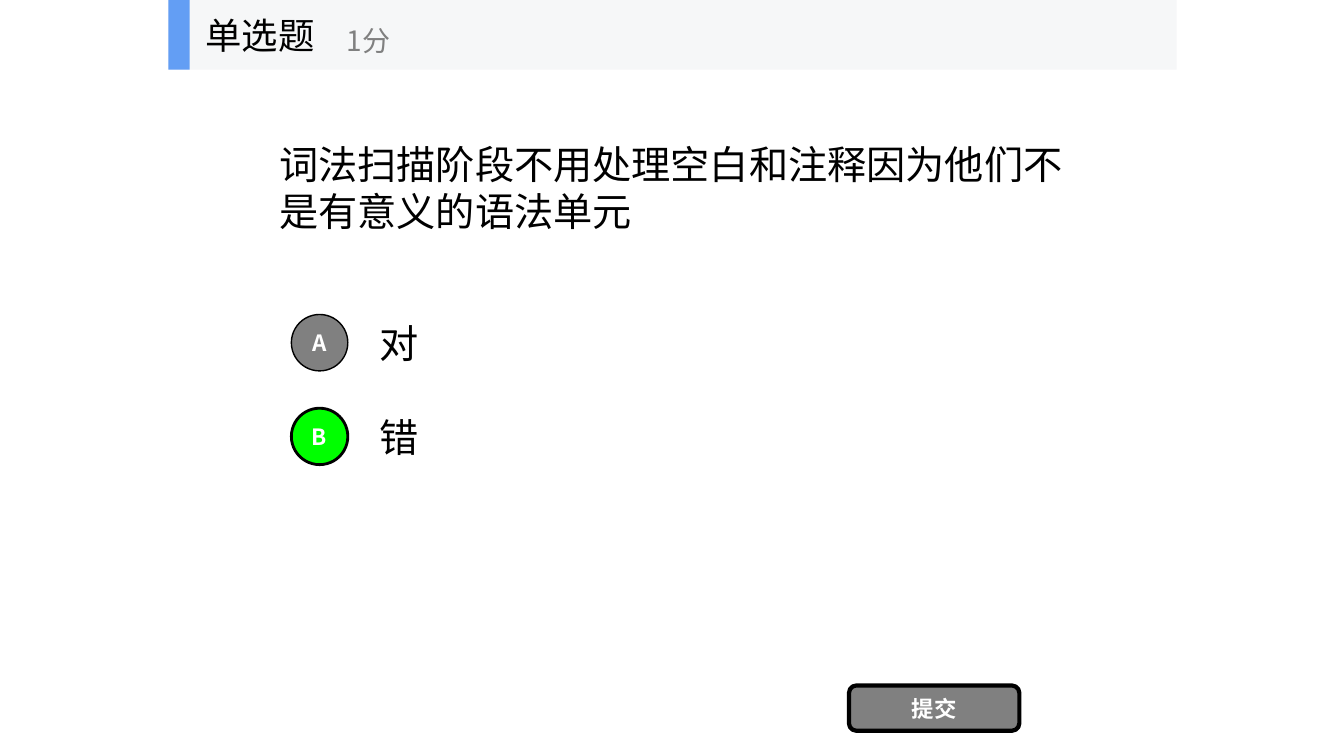
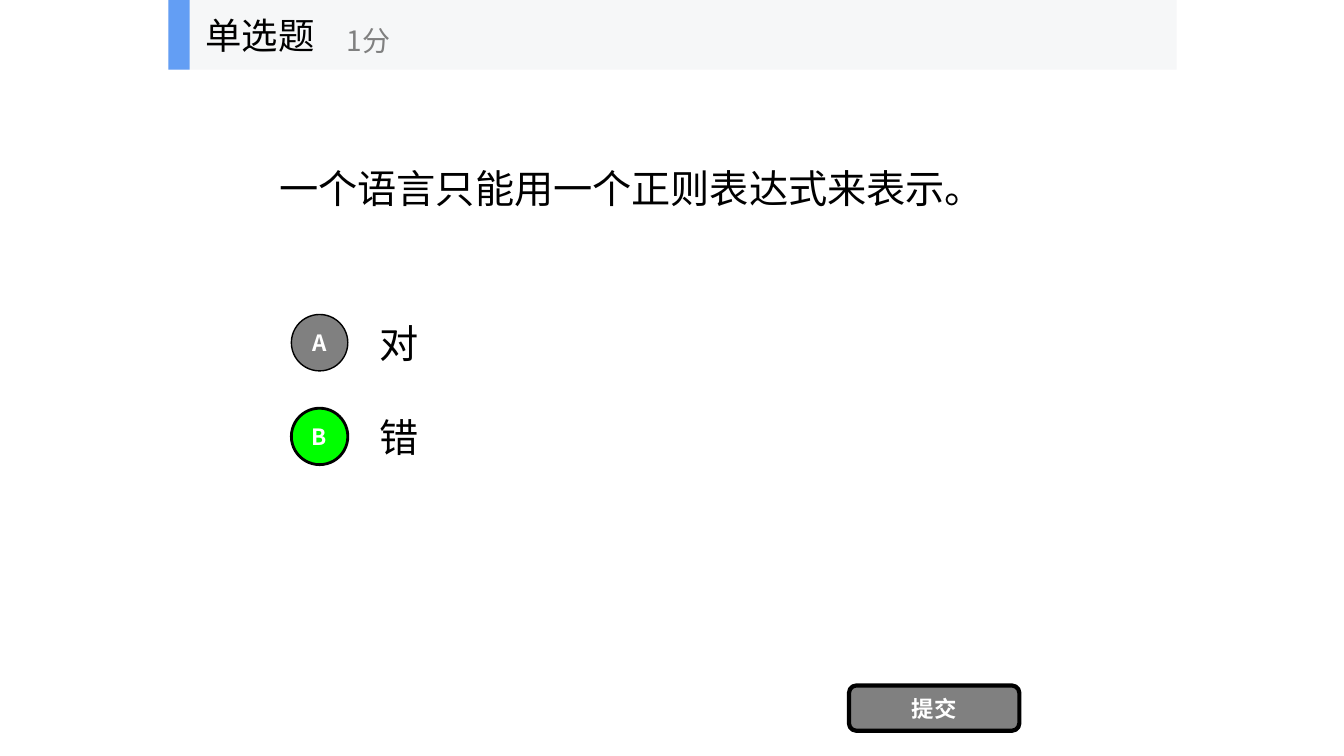
from pptx import Presentation
from pptx.dml.color import RGBColor
from pptx.enum.shapes import MSO_SHAPE
from pptx.enum.text import MSO_ANCHOR, MSO_AUTO_SIZE, PP_ALIGN
from pptx.oxml.xmlchemy import OxmlElement
from pptx.oxml.ns import qn
from pptx.util import Inches, Pt

RECTANGLE = MSO_SHAPE.RECTANGLE
ELLIPSE = MSO_SHAPE.OVAL
ROUNDED = MSO_SHAPE.ROUNDED_RECTANGLE
MIDDLE = MSO_ANCHOR.MIDDLE
NO_AUTOFIT = MSO_AUTO_SIZE.NONE
LEFT, CENTER = PP_ALIGN.LEFT, PP_ALIGN.CENTER
TITLE_ONLY = 5

THEME = {
    "font": "Noto Sans CJK SC",
    "black": RGBColor.from_string("000000"),
    "white": RGBColor.from_string("FFFFFF"),
    "gray": RGBColor.from_string("808080"),
    "green": RGBColor.from_string("00FF00"),
    "band": RGBColor.from_string("F6F7F8"),
    "accent": RGBColor.from_string("639EF4"),
    "body": {"size": Pt(28), "color": "black", "bold": False},
    "heading": {"size": Pt(26), "color": "black", "bold": False},
    "score": {"size": Pt(20), "color": "gray", "bold": False},
    "button": {"size": Pt(16), "color": "white", "bold": True},
}

QUESTIONS = [
    "词法扫描阶段不用处理空白和注释因为他们不是有意义的语法单元",
    "一个语言只能用一个正则表达式来表示。",
]
OPTIONS = [("A", "对", "gray", 1), ("B", "错", "green", 2)]
OPTION_TOP, OPTION_STEP, OPTION_HEIGHT = 3.05, 0.93, 0.7
CIRCLE_SIZE = 0.56
HEADER_HEIGHT = 0.69
BANDS = [(10, "band"), (0.21, "accent")]
HEADER_TEXTS = [
    ("单选题", "heading", (1.94, 0, 2.08, HEADER_HEIGHT)),
    ("1分", "score", (3.34, 0.12, 2.5, 0.56)),
]


def write(box, text, style, align=LEFT, wrap=True, inset=0.1):
    frame = box.text_frame
    frame_format = {
        "auto_size": NO_AUTOFIT,
        "word_wrap": wrap,
        "vertical_anchor": MIDDLE,
        "margin_left": Inches(inset),
        "margin_right": Inches(inset),
        "margin_top": Inches(inset / 2),
        "margin_bottom": Inches(inset / 2),
    }
    for name, value in frame_format.items():
        setattr(frame, name, value)
    para = frame.paragraphs[0]
    para.alignment = align
    span = para.add_run()
    span.text = text
    look = THEME[style]
    font_format = {"size": look["size"], "bold": look["bold"], "name": THEME["font"]}
    for name, value in font_format.items():
        setattr(span.font, name, value)
    span.font.color.rgb = THEME[look["color"]]
    east_asian = OxmlElement("a:ea")
    east_asian.set("typeface", THEME["font"])
    span.font._element.find(qn("a:latin")).addnext(east_asian)


def add_block(shapes, kind, place, fill, line_width=0):
    block = shapes.add_shape(kind, *map(Inches, place))
    block.shadow.inherit = False
    block.fill.solid()
    block.fill.fore_color.rgb = THEME[fill]
    if line_width:
        block.line.color.rgb = THEME["black"]
        block.line.width = Pt(line_width)
    else:
        block.line.fill.background()
    return block


deck = Presentation()
deck.slide_width = Inches(13.33)
deck.slide_height = Inches(7.5)

for question in QUESTIONS:
    page = deck.slides.add_slide(deck.slide_layouts[TITLE_ONLY])
    title = page.shapes.title
    title_place = {"left": 2.67, "top": HEADER_HEIGHT, "width": 8, "height": 2.34}
    for name, value in title_place.items():
        setattr(title, name, Inches(value))
    write(title, question, "body")

    for index, (letter, answer, fill, line_width) in enumerate(OPTIONS):
        top = OPTION_TOP + index * OPTION_STEP
        answer_place = (3.67, top, 7, OPTION_HEIGHT)
        answer_box = page.shapes.add_textbox(*map(Inches, answer_place))
        write(answer_box, answer, "body")
        circle_top = top + (OPTION_HEIGHT - CIRCLE_SIZE) / 2
        circle_place = (2.89, circle_top, CIRCLE_SIZE, CIRCLE_SIZE)
        circle = add_block(page.shapes, ELLIPSE, circle_place, fill, line_width)
        write(circle, letter, "button", CENTER, inset=0)

    submit = add_block(page.shapes, ROUNDED, (8.42, 6.8, 1.69, 0.45), "gray", 3)
    write(submit, "提交", "button", CENTER, inset=0)

    header = page.shapes.add_group_shape()
    for width, fill in BANDS:
        add_block(header.shapes, RECTANGLE, (1.67, 0, width, HEADER_HEIGHT), fill)
    for text, style, place in HEADER_TEXTS:
        label = header.shapes.add_textbox(*map(Inches, place))
        write(label, text, style, wrap=False)

deck.save("out.pptx")
